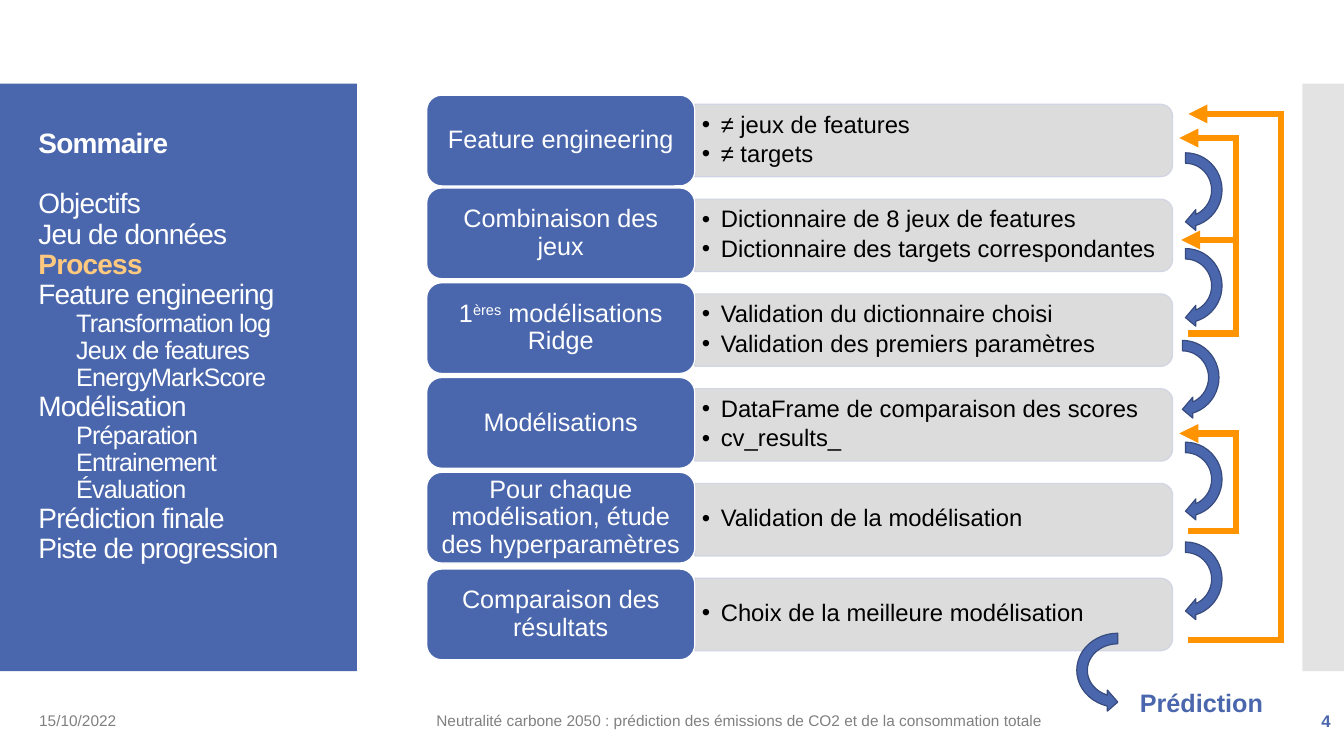
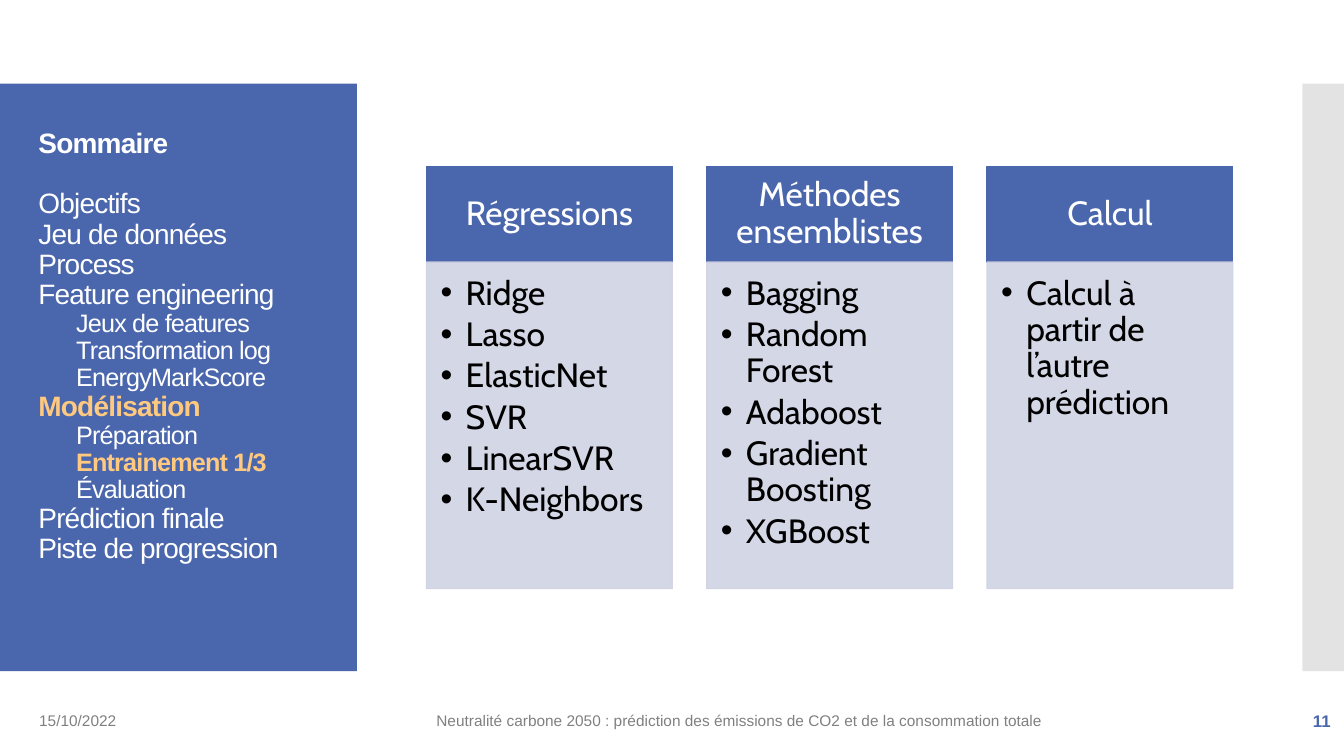
from lxml import etree
from pptx import Presentation
from pptx.dml.color import RGBColor
from pptx.enum import shapes as sh, text as tx
from pptx.oxml import ns
from pptx.util import Pt

HUES = {
    "blue": "4A66AC", "edge": "374B7F", "pale": "D0D3E3", "bar": "D9D9D9",
    "side": "C8C8C8", "gold": "FFC97F", "wire": "FF9300", "note": "808080",
    "white": "FFFFFF", "black": "000000",
}
KIND = sh.MSO_SHAPE
LEFT, MID, RIGHT = tx.PP_ALIGN.LEFT, tx.PP_ALIGN.CENTER, tx.PP_ALIGN.RIGHT
TOP, CENTRE = tx.MSO_ANCHOR.TOP, tx.MSO_ANCHOR.MIDDLE
PAD = (7.2, 3.6, 7.2, 3.6)

STEPS = [
    ("Feature engineering", ["≠ jeux de features", "≠ targets"]),
    ("Combinaison des jeux", ["Dictionnaire de 8 jeux de features",
                              "Dictionnaire des targets correspondantes"]),
    ("1^ères^ modélisations Ridge", ["Validation du dictionnaire choisi",
                                     "Validation des premiers paramètres"]),
    ("Modélisations", ["DataFrame de comparaison des scores", "cv_results_"]),
    ("Pour chaque modélisation, étude des hyperparamètres",
     ["Validation de la modélisation"]),
    ("Comparaison des résultats", ["Choix de la meilleure modélisation"]),
]
GROUPS = [
    ("Régressions", ["Ridge", "Lasso", "ElasticNet", "SVR", "LinearSVR",
                     "K-Neighbors"]),
    ("Méthodes ensemblistes", ["Bagging", "Random Forest", "Adaboost",
                               "Gradient Boosting", "XGBoost"]),
    ("Calcul", ["Calcul à partir de l’autre prédiction"]),
]


def hue(name):
    return RGBColor.from_string(HUES[name])


def child(node, tag, **attrs):
    return etree.SubElement(node, ns.qn(tag), attrs)


# Text
def write(frame, lines, size, color, font="Arial", bold=False, align=LEFT,
          anchor=CENTRE, pad=PAD, space=0.9, bullet=0):
    """Fill a frame; text between ^ signs is raised."""
    frame.word_wrap = True
    frame.vertical_anchor = anchor
    (frame.margin_left, frame.margin_top,
     frame.margin_right, frame.margin_bottom) = map(Pt, pad)
    for i, line in enumerate(lines):
        para = frame.paragraphs[0] if i == 0 else frame.add_paragraph()
        if bullet:
            prop = para._p.get_or_add_pPr()
            prop.set("marL", str(Pt(bullet)))
            prop.set("indent", str(Pt(-bullet)))
            child(prop, "a:buFont", typeface="Arial")
            child(prop, "a:buChar", char="•")
            para.space_after = Pt(0.15 * size)
        for k, part in enumerate(line.split("^")):
            run = para.add_run()
            run.text = part
            if k % 2:
                run._r.get_or_add_rPr().set("baseline", "30000")
        para.alignment = align
        para.line_spacing = space
        style(para, size, color, font, bold)


def style(para, size, color, font="Arial", bold=False):
    para.font.name = font
    para.font.size = Pt(size)
    para.font.bold = bold
    para.font.color.rgb = hue(color)


def label(slide, box, lines, size, color, **opts):
    area = slide.shapes.add_textbox(*map(Pt, box))
    write(area.text_frame, lines, size, color, **opts)


# Shapes and lines
def block(slide, kind, box, fill, line=None, alpha=None, turn=0):
    shape = slide.shapes.add_shape(kind, *map(Pt, box))
    shape.shadow.inherit = False
    shape.rotation = turn
    shape.fill.solid()
    shape.fill.fore_color.rgb = hue(fill)
    if line:
        shape.line.color.rgb = hue(line)
        shape.line.width = Pt(0.85)
    else:
        shape.line.fill.background()
    if alpha:
        for node in shape.element.spPr.iter(ns.qn("a:srgbClr")):
            child(node, "a:alpha", val=str(alpha * 1000))
    return shape


def wire(slide, x1, y1, x2, y2, head=False):
    line = slide.shapes.add_connector(sh.MSO_CONNECTOR.STRAIGHT,
                                      Pt(x1), Pt(y1), Pt(x2), Pt(y2))
    line.line.color.rgb = hue("wire")
    line.line.width = Pt(4.5)
    if head:
        child(line.line._get_or_add_ln(), "a:tailEnd", type="triangle")
    child(line.element.spPr, "a:effectLst")


def loop(slide, x, top, foot, tip):
    """Path that leads back from a lower step to an upper one."""
    wire(slide, x, top - 2, x, foot + 2)
    wire(slide, x + 2, top, tip, top, head=True)
    wire(slide, x + 2, foot, 848.9, foot)


def curl(slide, x, y, width=60.5, height=59.8, flip=False):
    arrow = block(slide, KIND.CIRCULAR_ARROW, (x, y, width, height),
                  "blue", "edge", turn=90)
    if flip:
        arrow.element.spPr.find(ns.qn("a:xfrm")).set("flipV", "1")


# Shared frame: bands, summary, footer
def summary(slide, feats, train, hot):
    items = [("Sommaire", 0), ("Objectifs", 0), ("Jeu de données", 0),
             ("Process", 0), ("Feature engineering", 0)]
    items += [(feat, 1) for feat in feats]
    items += [("Modélisation", 0), ("Préparation", 1), (train, 1),
              ("Évaluation", 1), ("Prédiction finale", 0),
              ("Piste de progression", 0)]
    title = slide.shapes.title
    title.left, title.top, title.width, title.height = map(
        Pt, (20.2, 88.6, 216.7, 362.2))
    frame = title.text_frame
    frame.auto_size = tx.MSO_AUTO_SIZE.NONE
    write(frame, [name for name, _ in items], 20, "white", anchor=TOP)
    for para, (name, level) in zip(frame.paragraphs, items):
        lit = name in hot
        style(para, 18 if level else 20, "gold" if lit else "white",
              bold=lit or name == "Sommaire")
        prop = para._p.get_or_add_pPr()
        prop.set("marL", str(Pt(27 * level)))
        prop.get_or_add_defRPr().set("spc", "-60")
        para.space_before = Pt(0)
    frame.paragraphs[0].space_after = Pt(21.6)
    # The title lies in front of its band
    title.element.getparent().append(title.element)


def page(deck, number, feats, train, hot):
    slide = deck.slides.add_slide(deck.slide_layouts[5])
    block(slide, KIND.RECTANGLE, (0, 59.8, 255, 419.6), "blue")
    block(slide, KIND.RECTANGLE, (930.3, 59.8, 29.7, 419.6), "side", alpha=50)
    foot = [
        (20.9, 216, "15/10/2022"),
        (304.6, 465, "Neutralité carbone 2050 : prédiction des émissions de "
                     "CO2 et de la consommation totale"),
    ]
    for x, width, words in foot:
        label(slide, (x, 500.4, width, 28.8), [words], 11, "note", space=1)
    label(slide, (837.4, 500.4, 120.2, 28.8), [str(number)], 12, "blue",
          bold=True, align=RIGHT, space=1)
    summary(slide, feats, train, hot)
    return slide


# Process steps
def step(slide, i, name, notes):
    y = 74.5 + 67.7 * i
    width, height = 341.3, 51.8
    # The bar is a tall shape turned on its side about its centre
    block(slide, KIND.ROUND_2_SAME_RECTANGLE,
          (496.3 + (width - height) / 2, y + (height - width) / 2,
           height, width), "bar", "pale", alpha=90, turn=90)
    label(slide, (496.4, y + 2.2, 338.4, 46.8), notes, 17, "black",
          pad=(5, 2.9, 5, 2.9), bullet=13.5)
    shift = 1.4 if i in (0, len(STEPS) - 1) else 0
    pill = block(slide, KIND.ROUNDED_RECTANGLE,
                 (304.8, y - 7.9 + shift, 191.5, 64.8), "blue", "white")
    write(pill.text_frame, [name], 18, "white", align=MID,
          pad=(4.8, 2.7, 4.8, 2.7))


def process(deck):
    slide = page(deck, 4, ["Transformation log", "Jeux de features",
                           "EnergyMarkScore"], "Entrainement", {"Process"})
    for i, (name, notes) in enumerate(STEPS):
        step(slide, i, name, notes)
    for x, y in [(816.5, 105.8), (816.5, 174.2), (814.3, 239.8),
                 (816.5, 312.5), (816.5, 383.8)]:
        curl(slide, x, y)
    loop(slide, 915.1, 81.4, 457.2, 848.9)
    loop(slide, 882.7, 309.6, 379.4, 842.4)
    loop(slide, 882.7, 98.6, 238.3, 842.4)
    wire(slide, 884.2, 171.4, 843.8, 171.4, head=True)
    curl(slide, 768.2, 445.7, 60.5, 66.2, flip=True)
    label(slide, (807.1, 487.4, 103.7, 28.8), ["Prédiction"], 18, "blue",
          bold=True, anchor=TOP, space=1)


# Training models
def column(slide, i, name, models):
    x, width = 304.6 + 200.2 * i, 175.7
    head = block(slide, KIND.RECTANGLE, (x, 118.8, width, 68.4),
                 "blue", "blue")
    write(head.text_frame, [name], 24, "white", "Cabin", align=MID,
          pad=(13.7, 7.9, 13.7, 7.9))
    body = block(slide, KIND.RECTANGLE, (x, 187.2, width, 233.3),
                 "pale", "pale", alpha=90)
    write(body.text_frame, models, 24, "black", "Cabin", anchor=TOP,
          pad=(10.1, 10.1, 13.7, 15.1), bullet=18)


def training(deck):
    slide = page(deck, 11, ["Jeux de features", "Transformation log",
                            "EnergyMarkScore"], "Entrainement 1/3",
                 {"Modélisation", "Entrainement 1/3"})
    for i, (name, models) in enumerate(GROUPS):
        column(slide, i, name, models)


def main():
    deck = Presentation()
    deck.slide_width, deck.slide_height = Pt(960), Pt(540)
    process(deck)
    training(deck)
    deck.save("out.pptx")


main()
